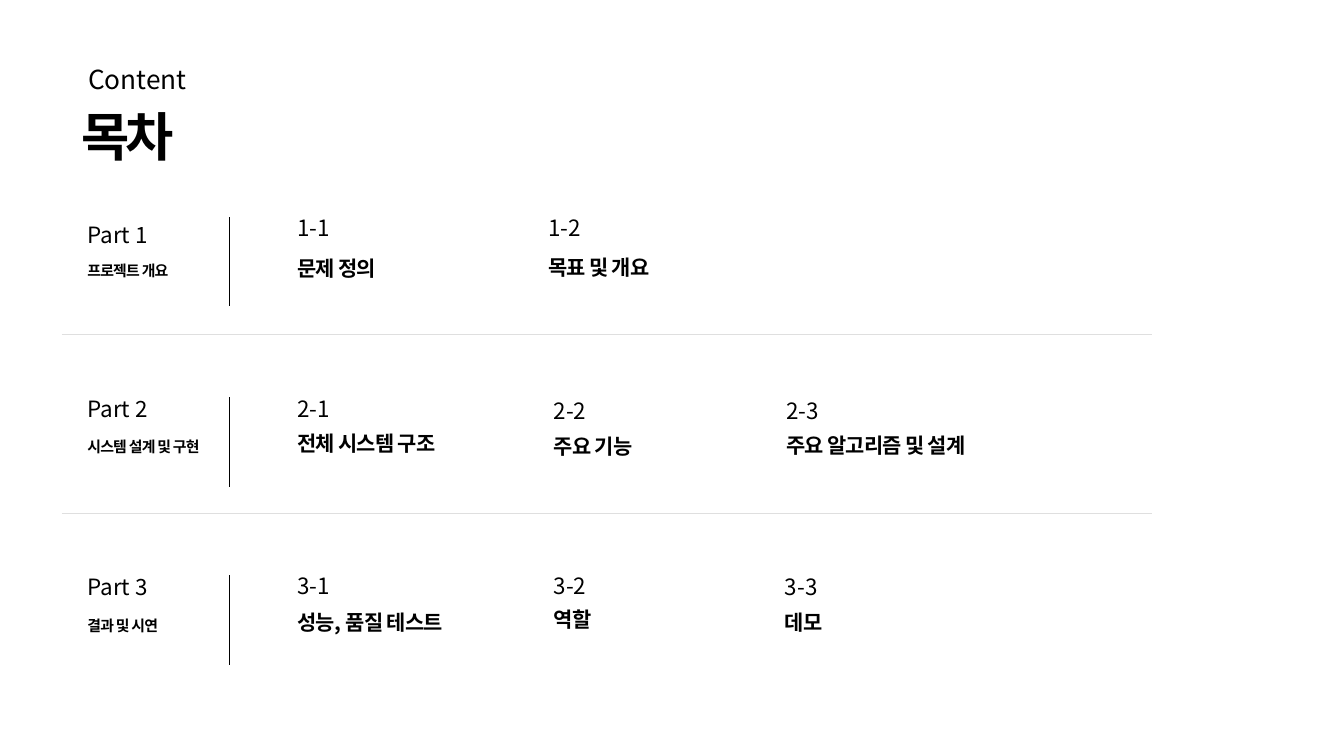
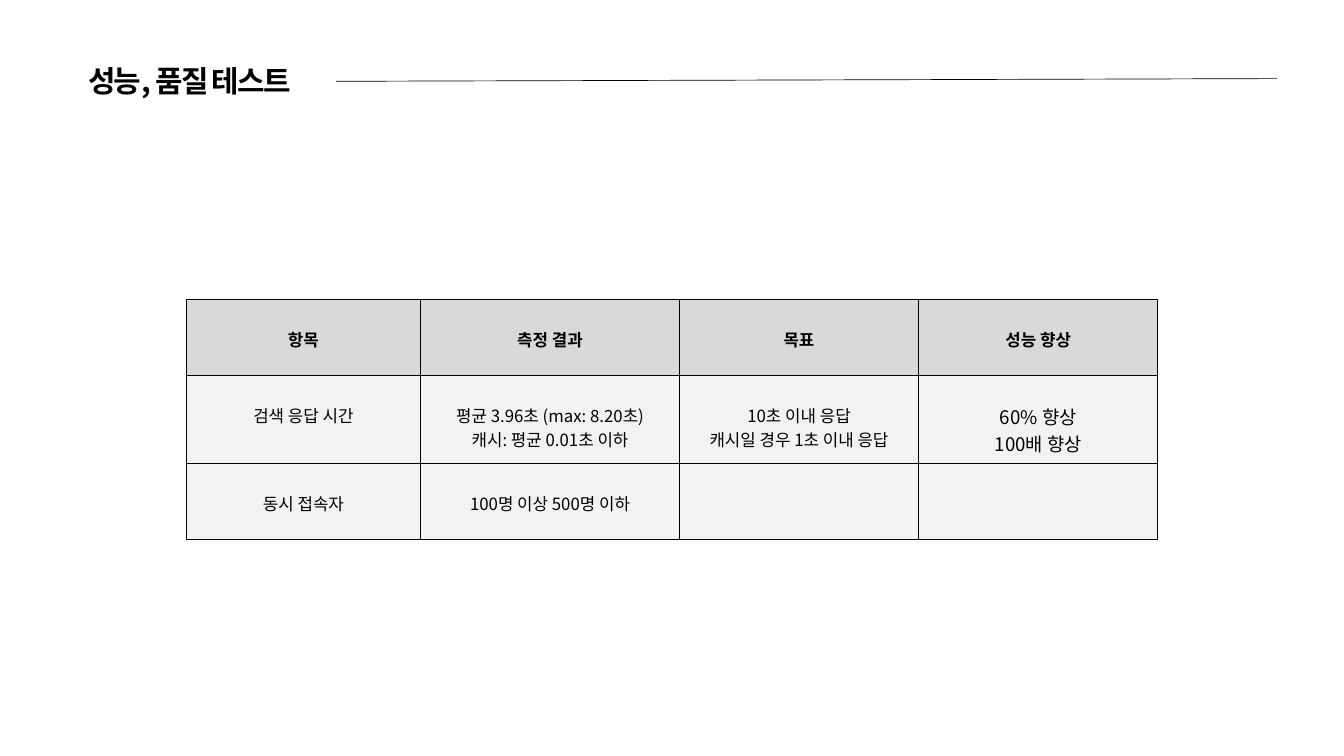
import pptx
import pptx.util
import pptx.oxml
import pptx.oxml.ns
import pptx.dml.color
import pptx.enum.text
import pptx.enum.shapes

Inches = pptx.util.Inches
Pt = pptx.util.Pt
FONT = "Noto Sans CJK KR"
COLORS = {"ink": "000000", "divider": "DFDFDF", "header": "D9D9D9", "body": "F2F2F2"}
NAMESPACE = pptx.oxml.ns.nsdecls("a")
PART = {"size": 24, "leading": 33.6}
CAPTION = {"size": 16, "leading": 31.3, "bold": True, "tracking": -0.8}
TOPIC = {**CAPTION, "size": 22.4}


def write_text(shape, text, at=None, size=18, leading=None, bold=False, tracking=0, align="LEFT"):
    frame = shape.text_frame
    if at:
        shape.left, shape.top, shape.width, shape.height = map(Inches, at)
        frame.margin_left = frame.margin_top = frame.margin_right = frame.margin_bottom = 0
        frame.word_wrap = True
        frame.auto_size = pptx.enum.text.MSO_AUTO_SIZE.SHAPE_TO_FIT_TEXT
        frame.vertical_anchor = pptx.enum.text.MSO_ANCHOR.TOP
    for index, line in enumerate(text.split("\n")):
        para = frame.add_paragraph() if index else frame.paragraphs[0]
        para.alignment = pptx.enum.text.PP_ALIGN[align]
        para.space_before = Pt(0)
        if leading:
            para.line_spacing = Pt(leading)
        span = para.add_run()
        span.text = line
        span.font.size = Pt(size)
        span.font.bold = bold
        span.font.color.rgb = pptx.dml.color.RGBColor.from_string(COLORS["ink"])
        span.font.name = FONT
        properties = span.font._element if hasattr(span.font, "_element") else span._r.get_or_add_rPr()
        properties.append(pptx.oxml.parse_xml(f'<a:ea {NAMESPACE} typeface="{FONT}"/>'))
        if tracking:
            properties.set("spc", str(round(tracking * 100)))


def draw_line(page, start, end, color):
    line = page.shapes.add_connector(
        pptx.enum.shapes.MSO_CONNECTOR.STRAIGHT, *map(Inches, start + end))
    line.line.color.rgb = pptx.dml.color.RGBColor.from_string(COLORS[color])
    line.line.width = Pt(0.75)
    line._element.spPr.append(pptx.oxml.parse_xml(f"<a:effectLst {NAMESPACE}/>"))


deck = pptx.Presentation()
deck.slide_width = Inches(20)
deck.slide_height = Inches(11.25)
title_only = deck.slide_layouts[5]

contents = deck.slides.add_slide(title_only)
write_text(contents.shapes.title, "목차", at=(1.21, 1.67, 7.56, 0.84),
           size=56.2, leading=59, bold=True, tracking=-3.8)
write_text(contents.shapes.add_textbox(0, 0, 0, 0), "Content", at=(1.31, 0.86, 4.09, 0.5),
           size=28.1, leading=39.4)

parts = [
    (3.23, 3.23, "프로젝트 개요", 3.73, [
        ("문제 정의", 4.42, 3.12, 3.74),
        ("목표 및 개요", 8.16, 3.12, 3.73)]),
    (5.91, 5.81, "시스템 설계 및 구현", 6.35, [
        ("전체 시스템 구조", 4.42, 5.81, 6.34),
        ("주요 기능", 8.24, 5.85, 6.39),
        ("주요 알고리즘 및 설계", 11.7, 5.85, 6.38)]),
    (8.56, 8.46, "결과 및 시연", 9, [
        ("성능, 품질 테스트", 4.42, 8.45, 9.01),
        ("역할", 8.24, 8.45, 8.97),
        ("데모", 11.68, 8.46, 9.01)]),
]
for part, (rule_top, part_top, caption, caption_top, topics) in enumerate(parts, 1):
    draw_line(contents, (3.41, rule_top), (3.41, rule_top + 1.33), "ink")
    labels = [(f"Part {part}", (1.3, part_top, 1.18, 0.43), PART),
              (caption, (1.3, caption_top, 1.86, 0.38), CAPTION)]
    for number, (topic, left, number_top, topic_top) in enumerate(topics, 1):
        labels.append((f"{part}-{number}", (left, number_top, 1.08, 0.43), PART))
        labels.append((topic, (left, topic_top, 3.23, 0.4), TOPIC))
    for text, at, style in labels:
        write_text(contents.shapes.add_textbox(0, 0, 0, 0), text, at=at, **style)
for divider_top in (4.98, 7.64):
    draw_line(contents, (0.92, divider_top), (17.15, divider_top), "divider")

results = deck.slides.add_slide(title_only)
write_text(results.shapes.title, "성능, 품질 테스트", at=(1.31, 0.87, 4.09, 0.56),
           size=32, leading=43.3, bold=True, tracking=-2)
draw_line(results, (5, 1.21), (19, 1.17), "ink")

rows = [
    ["항목", "측정 결과", "목표", "성능 향상"],
    ["검색 응답 시간", "평균 3.96초 (max: 8.20초)\n캐시: 평균 0.01초 이하",
     "10초 이내 응답\n캐시일 경우 1초 이내 응답", "60% 향상\n100배 향상"],
    ["동시 접속자", "100명 이상 500명 이하", "", ""],
]
table = results.shapes.add_table(
    3, 4, Inches(2.77), Inches(4.46), Inches(14.46), Inches(3.56)).table
table.first_row = table.horz_banding = False
for column, width in zip(table.columns, (3.49, 3.85, 3.56, 3.56)):
    column.width = Inches(width)
for row, height in zip(table.rows, (1.13, 1.3, 1.13)):
    row.height = Inches(height)
for row_index, texts in enumerate(rows):
    for column_index, text in enumerate(texts):
        cell = table.cell(row_index, column_index)
        cell.margin_top = Inches(0.41)
        for side in "LRTB":
            cell._tc.get_or_add_tcPr().append(pptx.oxml.parse_xml(
                f'<a:ln{side} {NAMESPACE} w="12700"><a:solidFill>'
                f'<a:srgbClr val="{COLORS["ink"]}"/></a:solidFill></a:ln{side}>'))
        cell.fill.solid()
        cell.fill.fore_color.rgb = pptx.dml.color.RGBColor.from_string(
            COLORS["body" if row_index else "header"])
        if text:
            write_text(cell, text, size=20 if text.startswith("60%") else 18,
                       bold=row_index == 0, align="CENTER")

deck.save("out.pptx")
